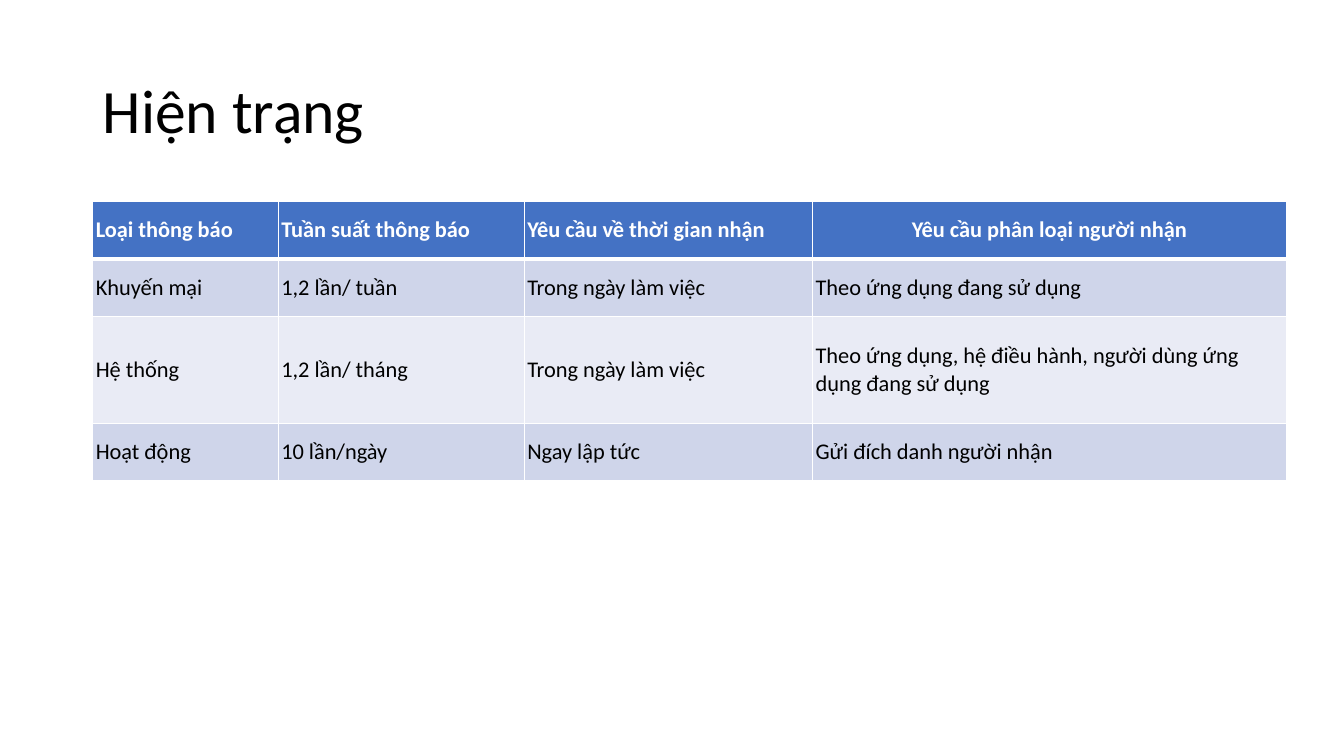
from lxml.etree import SubElement
from pptx import Presentation
from pptx.dml.color import RGBColor
from pptx.enum.text import MSO_ANCHOR, PP_ALIGN
from pptx.oxml.ns import qn
from pptx.util import Inches, Pt

BLACK = RGBColor(0x00, 0x00, 0x00)
WHITE = RGBColor(0xFF, 0xFF, 0xFF)
HEADER_BLUE = RGBColor(0x44, 0x72, 0xC4)
BAND_DARK = RGBColor(0xCF, 0xD5, 0xEA)
BAND_LIGHT = RGBColor(0xE9, 0xEB, 0xF5)


def write_text(frame, text, *, size, color, font, bold=False,
               align=PP_ALIGN.LEFT, line_spacing=1.0):
    frame.word_wrap = True
    frame.vertical_anchor = MSO_ANCHOR.MIDDLE
    paragraph = frame.paragraphs[0]
    paragraph.alignment = align
    paragraph.line_spacing = line_spacing
    run = paragraph.add_run()
    run.text = text
    run.font.name = font
    run.font.size = Pt(size)
    run.font.bold = bold
    run.font.color.rgb = color


def set_borders(cell, color, widths):
    """Draw cell edges; widths maps lnL, lnR, lnT and lnB to points."""
    properties = cell._tc.get_or_add_tcPr()
    for position, (edge, width) in enumerate(widths.items()):
        line = SubElement(properties, qn(f"a:{edge}"), w=str(Pt(width)))
        fill = SubElement(line, qn("a:solidFill"))
        SubElement(fill, qn("a:srgbClr"), val=str(color))
        properties.insert(position, line)  # edges come before the cell fill


class SlideBuilder:
    font = "Calibri"
    title_size = 44
    cell_size = 16

    def __init__(self, slide):
        self.slide = slide

    def title(self, text, left, top, width, height):
        heading = self.slide.shapes.title
        heading.left, heading.top = Inches(left), Inches(top)
        heading.width, heading.height = Inches(width), Inches(height)
        write_text(heading.text_frame, text, size=self.title_size,
                   color=BLACK, font=self.font, line_spacing=0.9)

    def table(self, rows, left, top, widths, heights, centered_headers=()):
        table = self.slide.shapes.add_table(
            len(rows), len(widths), Inches(left), Inches(top),
            Inches(sum(widths)), Inches(sum(heights))).table
        for column, width in zip(table.columns, widths):
            column.width = Inches(width)
        for row, height in zip(table.rows, heights):
            row.height = Inches(height)
        for r, row in enumerate(rows):
            for c, text in enumerate(row):
                centered = r == 0 and c in centered_headers
                self.cell(table.cell(r, c), text, r, centered)

    def cell(self, cell, text, row, centered):
        header = row == 0
        cell.margin_left = cell.margin_right = Inches(0.03)
        cell.margin_top = cell.margin_bottom = Inches(0.02)
        cell.vertical_anchor = MSO_ANCHOR.MIDDLE
        cell.fill.solid()
        band = BAND_DARK if row % 2 else BAND_LIGHT
        cell.fill.fore_color.rgb = HEADER_BLUE if header else band
        set_borders(cell, WHITE, {"lnL": 1, "lnR": 1,
                                  "lnT": 3 if row == 1 else 1,
                                  "lnB": 3 if header else 1})
        write_text(cell.text_frame, text, size=self.cell_size, font=self.font,
                   color=WHITE if header else BLACK, bold=header,
                   align=PP_ALIGN.CENTER if centered else PP_ALIGN.LEFT)


presentation = Presentation()
presentation.slide_width = Inches(13.33)
presentation.slide_height = Inches(7.5)
TITLE_ONLY = presentation.slide_layouts[5]
builder = SlideBuilder(presentation.slides.add_slide(TITLE_ONLY))

# Heading
builder.title("Hiện trạng", 0.92, 0.4, 11.5, 1.45)

# Notification types and their requirements
notification_types = [
    ("Loại thông báo", "Tuần suất thông báo",
     "Yêu cầu về thời gian nhận", "Yêu cầu phân loại người nhận"),
    ("Khuyến mại", "1,2 lần/ tuần",
     "Trong ngày làm việc", "Theo ứng dụng đang sử dụng"),
    ("Hệ thống", "1,2 lần/ tháng", "Trong ngày làm việc",
     "Theo ứng dụng, hệ điều hành, người dùng ứng dụng đang sử dụng"),
    ("Hoạt động", "10 lần/ngày",
     "Ngay lập tức", "Gửi đích danh người nhận"),
]
builder.table(notification_types, 0.92, 2, widths=[1.84, 2.44, 2.86, 4.7],
              heights=[0.57, 0.57, 1.06, 0.57], centered_headers=(3,))

presentation.save("out.pptx")
